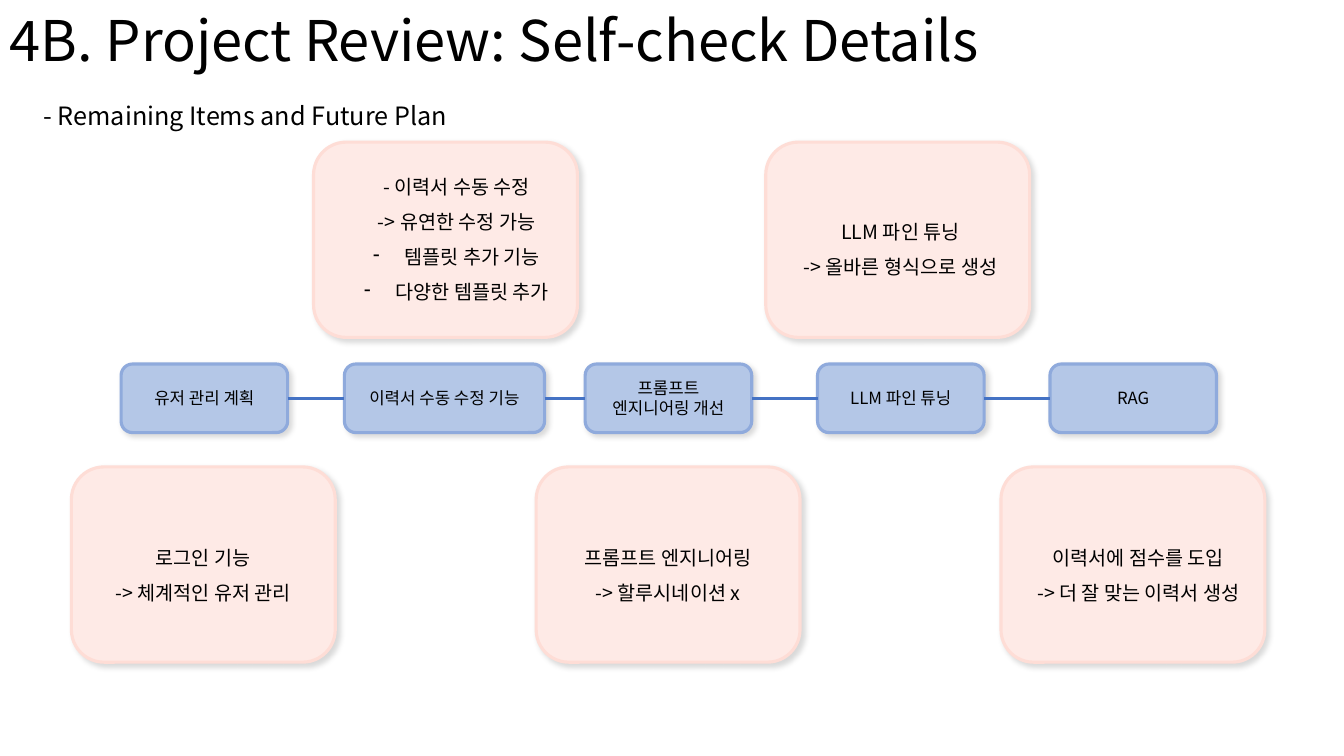
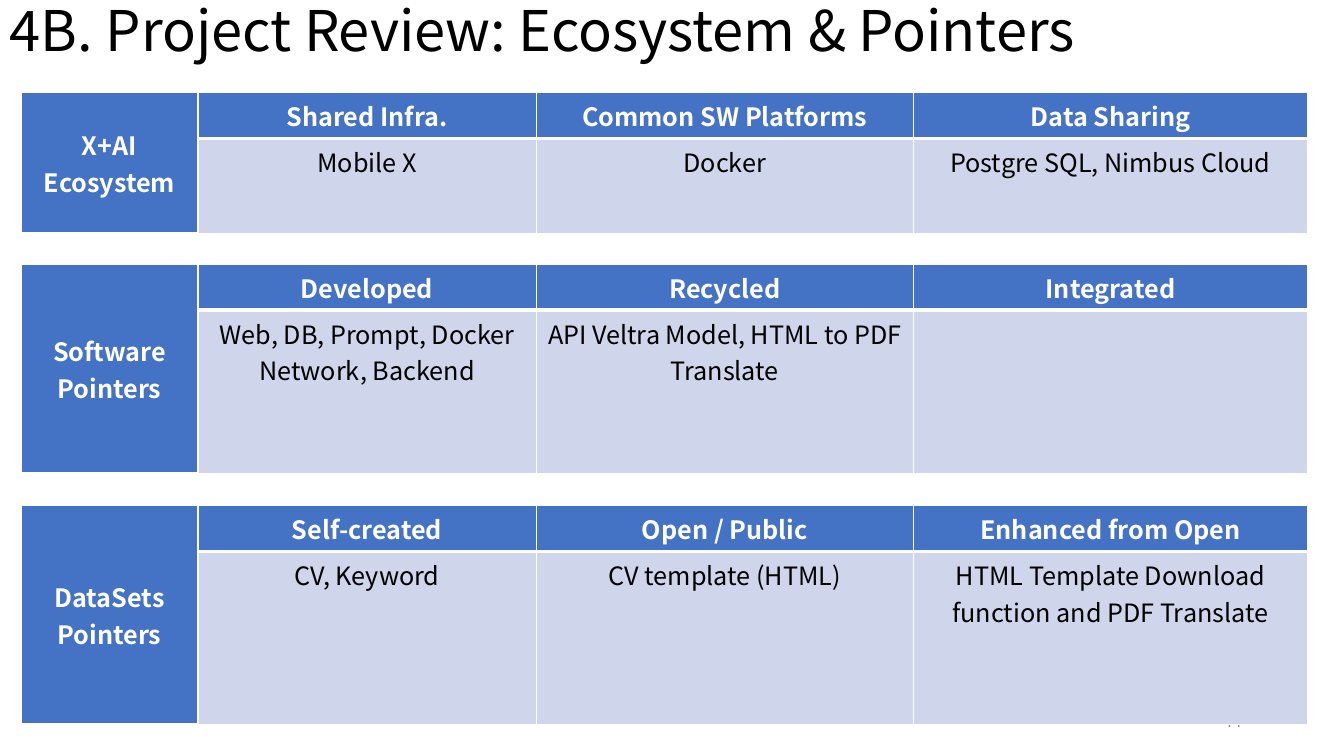
from dataclasses import dataclass
from itertools import pairwise
from lxml.etree import SubElement
from pptx import Presentation
from pptx.dml.color import RGBColor
from pptx.enum.shapes import MSO_CONNECTOR, MSO_SHAPE
from pptx.enum.text import MSO_ANCHOR, PP_ALIGN
from pptx.oxml.ns import qn
from pptx.util import Pt


@dataclass(frozen=True)
class Theme:
    font: str = "Noto Sans CJK KR"
    black: str = "000000"
    white: str = "FFFFFF"
    grey: str = "8C8C8C"
    blue: str = "4472C4"
    step: str = "B4C7E7"
    step_edge: str = "8FAADC"
    card: str = "FEEAE6"
    card_edge: str = "FEDDD6"
    body: str = "CFD5EA"
    title_size: int = 40
    text_size: int = 18
    card_size: int = 14
    small_size: int = 12
    edge: float = 2.25


T = Theme()

REVIEW_TITLE = "4B. Project Review: Self-check Details"
REVIEW_SUBTITLE = "- Remaining Items and Future Plan"
STEP_TOP, STEP_H = 260, 49
CARD_W, CARD_H = 188.5, 139.5
ABOVE, BELOW = 101.5, 333.5
BULLET = "•"

STEPS = [
    dict(x=86.5, w=119, label=["유저 관리 계획"], card=(51, BELOW), shift=(0, 3.5),
         lines=["로그인 기능", "-> 체계적인 유저 관리"]),
    dict(x=246, w=143, label=["이력서 수동 수정 기능"], card=(224, ABOVE), shift=(8, -4.5),
         lines=["- 이력서 수동 수정", "-> 유연한 수정 가능",
                BULLET + "템플릿 추가 기능", BULLET + "다양한 템플릿 추가"]),
    dict(x=418, w=119, label=["프롬프트", "엔지니어링 개선"], card=(383, BELOW), shift=(0, 3.5),
         lines=["프롬프트 엔지니어링", "-> 할루시네이션 x"]),
    dict(x=584, w=119, label=["LLM 파인 튜닝"], card=(547, ABOVE), shift=(2, 2.5),
         lines=["LLM 파인 튜닝", "-> 올바른 형식으로 생성"]),
    dict(x=750, w=119, label=["RAG"], card=(715, BELOW), shift=(4, 3.5),
         lines=["이력서에 점수를 도입", "-> 더 잘 맞는 이력서 생성"]),
]

POINTERS_TITLE = "4B. Project Review: Ecosystem & Pointers"
PAGE = "44"
TABLE_LEFT, HEADER_H = 15, 33
COLUMNS = [126.5, 241.5, 269.5, 281.5]
TABLES = [
    dict(top=66, body_h=68, side=["X+AI", "Ecosystem"],
         heads=["Shared Infra.", "Common SW Platforms", "Data Sharing"],
         cells=["Mobile X", "Docker", "Postgre SQL, Nimbus Cloud"]),
    dict(top=188.5, body_h=117, side=["Software", "Pointers"],
         heads=["Developed", "Recycled", "Integrated"],
         cells=["Web, DB, Prompt, Docker Network, Backend",
                "API Veltra Model, HTML to PDF Translate", ""]),
    dict(top=361, body_h=123.5, side=["DataSets", "Pointers"],
         heads=["Self-created", "Open / Public", "Enhanced from Open"],
         cells=["CV, Keyword", "CV template (HTML)",
                "HTML Template Download function and PDF Translate"]),
]


def rgb(value):
    return RGBColor.from_string(value)


def box(*lengths):
    return [Pt(v) for v in lengths]


def apply(obj, values):
    for name, value in values.items():
        setattr(obj, name, value)


def write(tf, lines, size, color=T.black, bold=False, align=PP_ALIGN.CENTER, spacing=None):
    for i, line in enumerate(lines):
        p = tf.paragraphs[0] if i == 0 else tf.add_paragraph()
        if line.startswith(BULLET):
            pPr = p._p.get_or_add_pPr()
            for name, value in {"marL": Pt(22.5), "indent": -Pt(22.5)}.items():
                pPr.set(name, str(value))
            SubElement(pPr, qn("a:buChar"), char="-")
        apply(p, {"alignment": align, "line_spacing": spacing})
        if not line:
            continue
        r = p.add_run()
        r.text = line.removeprefix(BULLET)
        apply(r.font, {"name": T.font, "size": Pt(size), "bold": bold})
        r.font.color.rgb = rgb(color)
        SubElement(r._r.rPr, qn("a:ea"), typeface=T.font)


def add_text(s, bounds, text, size, wrap=True, anchor=MSO_ANCHOR.MIDDLE, **style):
    tf = s.shapes.add_textbox(*box(*bounds)).text_frame
    apply(tf, {"word_wrap": wrap, "vertical_anchor": anchor})
    write(tf, [text], size, **style)


def add_title(s, text, height):
    add_text(s, (0, -2, 960, height), text, T.title_size, align=PP_ALIGN.LEFT, spacing=0.9)


def add_panel(s, bounds, fill, edge, lines, size, spacing, shift=(0, 0)):
    sp = s.shapes.add_shape(MSO_SHAPE.ROUNDED_RECTANGLE, *box(*bounds))
    sp.fill.solid()
    sp.fill.fore_color.rgb = rgb(fill)
    sp.line.color.rgb = rgb(edge)
    sp.line.width = Pt(T.edge)
    sp.shadow.inherit = False
    effects = sp._element.spPr.find(qn("a:effectLst"))
    shadow = SubElement(effects, qn("a:outerShdw"), blurRad=str(Pt(4)), dist=str(Pt(3)),
                        dir="2700000", algn="tl", rotWithShape="0")
    color = SubElement(shadow, qn("a:srgbClr"), val=T.black)
    SubElement(color, qn("a:alpha"), val="15000")
    dx, dy = shift
    apply(sp.text_frame, {
        "word_wrap": True, "vertical_anchor": MSO_ANCHOR.MIDDLE,
        "margin_left": Pt(max(2 * dx, 0)), "margin_right": Pt(0),
        "margin_top": Pt(max(2 * dy, 0)), "margin_bottom": Pt(max(-2 * dy, 0)),
    })
    write(sp.text_frame, lines, size, spacing=Pt(spacing))
    return sp


def join(s, start, end):
    c = s.shapes.add_connector(MSO_CONNECTOR.STRAIGHT, 0, 0, 0, 0)
    c.begin_connect(start, 3)
    c.end_connect(end, 1)
    c.line.color.rgb = rgb(T.blue)
    c.line.width = Pt(T.edge)
    SubElement(c._element.spPr, qn("a:effectLst"))


def fill_cell(cell, lines, fill, bottom=1, **style):
    write(cell.text_frame, lines, T.text_size, **style)
    cell.fill.solid()
    cell.fill.fore_color.rgb = rgb(fill)
    tcPr = cell._tc.get_or_add_tcPr()
    sides = {"a:lnL": 1, "a:lnR": 1, "a:lnT": 1, "a:lnB": bottom}
    for i, (tag, width) in enumerate(sides.items()):
        ln = SubElement(tcPr, qn(tag), w=str(Pt(width)))
        SubElement(SubElement(ln, qn("a:solidFill")), qn("a:srgbClr"), val=T.white)
        tcPr.insert(i, ln)


def add_pointer_table(s, top, body_h, side, heads, cells):
    bounds = box(TABLE_LEFT, top, sum(COLUMNS), HEADER_H + body_h)
    table = s.shapes.add_table(2, len(COLUMNS), *bounds).table
    apply(table, {"first_row": False, "horz_banding": False})
    for column, width in zip(table.columns, COLUMNS):
        column.width = Pt(width)
    for row, height in zip(table.rows, (HEADER_H, body_h)):
        row.height = Pt(height)
    header = {"fill": T.blue, "bottom": 3, "color": T.white, "bold": True}
    side_cell = table.cell(0, 0)
    side_cell.merge(table.cell(1, 0))
    fill_cell(side_cell, side, **header)
    side_cell.vertical_anchor = MSO_ANCHOR.MIDDLE
    for i, (head, text) in enumerate(zip(heads, cells), 1):
        fill_cell(table.cell(0, i), [head], **header)
        fill_cell(table.cell(1, i), [text], T.body)


def build_review(s):
    steps = []
    for item in STEPS:
        steps.append(add_panel(s, (item["x"], STEP_TOP, item["w"], STEP_H), T.step,
                               T.step_edge, item["label"], T.small_size, 14.3))
        add_panel(s, (*item["card"], CARD_W, CARD_H), T.card, T.card_edge,
                  item["lines"], T.card_size, 25, item["shift"])
    for start, end in pairwise(steps):
        join(s, start, end)
    add_title(s, REVIEW_TITLE, 66)
    add_text(s, (24, 68, 303, 29), REVIEW_SUBTITLE, T.text_size, wrap=False,
             anchor=MSO_ANCHOR.TOP, align=PP_ALIGN.LEFT)


def build_pointers(s):
    add_title(s, POINTERS_TITLE, 51)
    add_text(s, (678, 500.5, 216, 29), PAGE, T.small_size, color=T.grey, align=PP_ALIGN.RIGHT)
    for item in TABLES:
        add_pointer_table(s, **item)


def main():
    prs = Presentation()
    apply(prs, {"slide_width": Pt(960), "slide_height": Pt(540)})
    for build in (build_review, build_pointers):
        build(prs.slides.add_slide(prs.slide_layouts[6]))
    prs.save("out.pptx")


if __name__ == "__main__":
    main()
